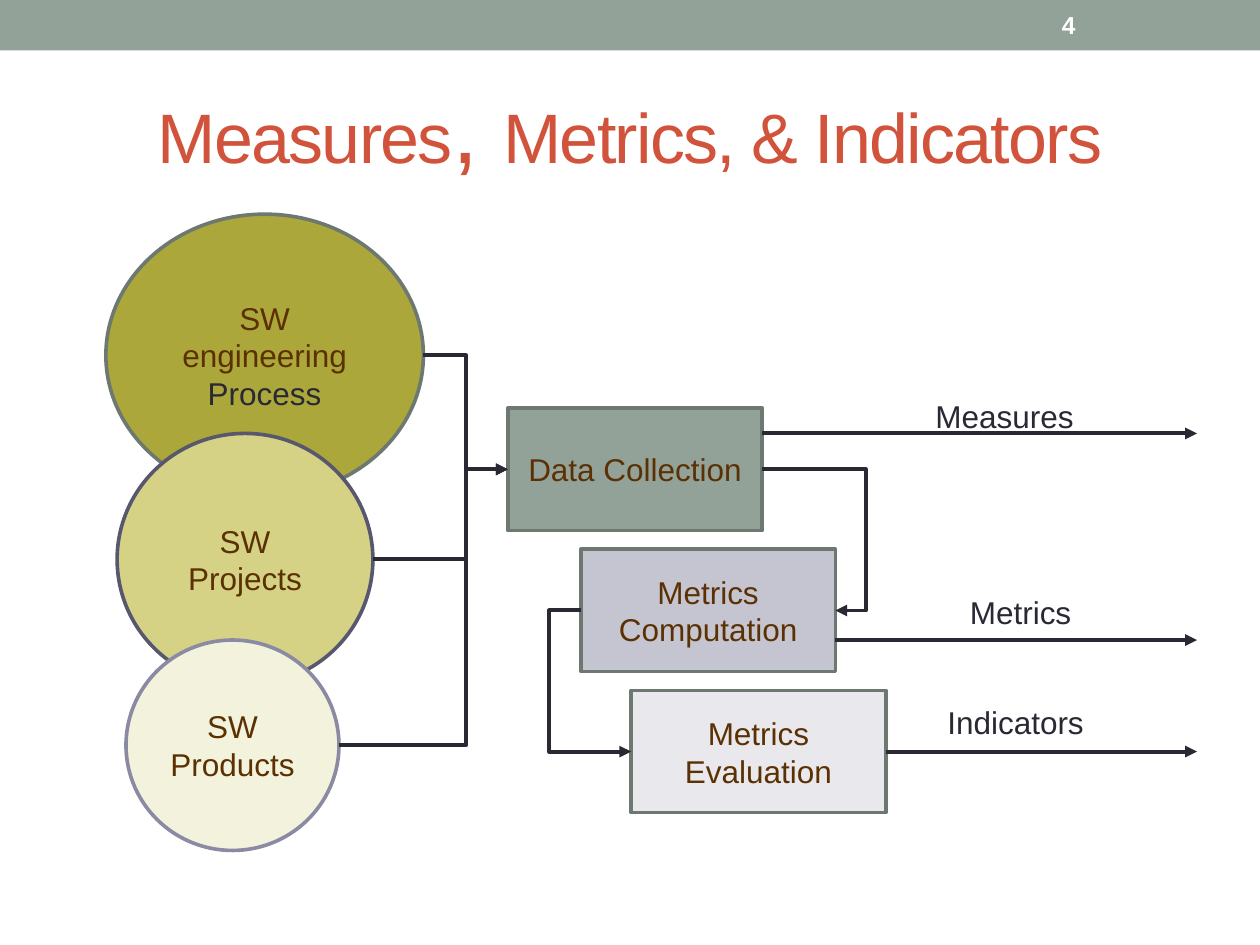
from pptx import Presentation
from pptx.dml.color import RGBColor
from pptx.enum.shapes import MSO_CONNECTOR, MSO_SHAPE
from pptx.enum.text import MSO_ANCHOR, PP_ALIGN
from pptx.oxml.ns import qn
from pptx.util import Inches, Pt
from lxml import etree

RECTANGLE, ELLIPSE = MSO_SHAPE.RECTANGLE, MSO_SHAPE.OVAL
STRAIGHT, ELBOW = MSO_CONNECTOR.STRAIGHT, MSO_CONNECTOR.ELBOW
LEFT, CENTER, RIGHT = PP_ALIGN.LEFT, PP_ALIGN.CENTER, PP_ALIGN.RIGHT
TOP, MIDDLE = MSO_ANCHOR.TOP, MSO_ANCHOR.MIDDLE

WIDTH, HEIGHT = Inches(10), Inches(7.5)
COLUMNS, ROWS = 100, 75

INK, BROWN, SAGE, SAGE_EDGE = "292934", "5B3103", "93A299", "6D7871"
RED, WHITE = "D2533C", "FFFFFF"

# Lengths below are (left, top, width, height) in grid columns and rows.
SOURCES = [
    ((8.4, 17, 25.2, 22.4), "ACA73B", SAGE_EDGE, [("SW engineering ", BROWN), ("Process", INK)]),
    ((9.3, 34.4, 20.3, 20), "D5D286", "57576E", [("SW Projects", BROWN)]),
    ((10, 50.8, 16.9, 16.7), "F3F2DC", "8A8AA3", [("SW Products", BROWN)]),
]
STEPS = [
    ("Data Collection", 40.3, SAGE),
    ("Metrics Computation", 46.1, "C5C5D1"),
    ("Metrics Evaluation", 50.1, "E8E8ED"),
]
STEP_TOP, STEP_PITCH, STEP_WIDTH, STEP_HEIGHT = 32.4, 11.2, 20.2, 9.7
OUTPUTS = [
    ("Measures", 69.4, 31, RIGHT, 34.4),
    ("Metrics", 72.6, 46.6, CENTER, 50.8),
    ("Indicators", 70.2, 55.3, RIGHT, 59.65),
]
OUTPUT_END = 95
SOURCE_BUS, RIGHT_BEND, LEFT_BEND = 37, 68.7, 43.6


def color(value):
    return RGBColor.from_string(value)


def x(column):
    return round(WIDTH * column / COLUMNS)


def y(row):
    return round(HEIGHT * row / ROWS)


def place(area):
    left, top, width, height = area
    return x(left), y(top), x(width), y(height)


def left_port(area):
    return area[0], area[1] + area[3] / 2


def right_port(area):
    return area[0] + area[2], area[1] + area[3] / 2


def write(shape, runs, align=CENTER, anchor=MIDDLE, spacing=0, **font):
    """Fill the shape with one paragraph of (text, colour, optional size) runs."""
    frame = shape.text_frame
    frame.word_wrap = True
    frame.vertical_anchor = anchor
    paragraph = frame.paragraphs[0]
    paragraph.alignment = align
    for text, ink, *size in runs:
        run = paragraph.add_run()
        run.text = text
        run.font.color.rgb = color(ink)
        values = {"name": "Arial", "size": Pt(size[0] if size else 18), **font}
        for name, value in values.items():
            setattr(run.font, name, value)
        if spacing:
            run._r.get_or_add_rPr().set("spc", str(spacing * 100))


def add_text(slide, area, runs, **options):
    write(slide.shapes.add_textbox(*place(area)), runs, **options)


def add_block(slide, kind, area, fill, edge=None, runs=()):
    shape = slide.shapes.add_shape(kind, *place(area))
    shape.shadow.inherit = False
    shape.fill.solid()
    shape.fill.fore_color.rgb = color(fill)
    if edge:
        shape.line.color.rgb = color(edge)
        shape.line.width = Pt(2.08)
    else:
        shape.line.fill.background()
    write(shape, runs)


def add_arrow(slide, start, end, bend=None):
    """Draw an arrow; bend is the column of an elbow's vertical part."""
    kind = STRAIGHT if bend is None else ELBOW
    arrow = slide.shapes.add_connector(kind, x(start[0]), y(start[1]), x(end[0]), y(end[1]))
    arrow.line.color.rgb = color(INK)
    arrow.line.width = Pt(2.25)
    properties = arrow._element.spPr
    etree.SubElement(properties.find(qn("a:ln")), qn("a:tailEnd"), type="triangle")
    etree.SubElement(properties, qn("a:effectLst"))
    if bend is not None:
        share = (bend - start[0]) / (end[0] - start[0])
        guides = properties.find(qn("a:prstGeom")).find(qn("a:avLst"))
        etree.SubElement(guides, qn("a:gd"), name="adj1", fmla=f"val {round(share * 100000)}")


def add_header(slide):
    add_block(slide, RECTANGLE, (0, 0, COLUMNS, 4), SAGE)
    add_text(slide, (83.3, 0.2, 11.7, 3.6), [("4", WHITE, 14)], align=LEFT, bold=True)
    title = [("Measures", RED, 40), (", ", RED, 54), ("Metrics, & Indicators", RED, 40)]
    add_text(slide, (5, 4.6, 90, 10.8), title, spacing=-1)


def add_flow(slide):
    steps = [(left, STEP_TOP + index * STEP_PITCH, STEP_WIDTH, STEP_HEIGHT)
             for index, (_, left, _) in enumerate(STEPS)]
    collection, computation, evaluation = steps

    for area, fill, edge, runs in SOURCES:
        add_block(slide, ELLIPSE, area, fill, edge, runs)
    for area, (text, _, fill) in zip(steps, STEPS):
        add_block(slide, RECTANGLE, area, fill, SAGE_EDGE, [(text, BROWN)])

    for area, *_ in SOURCES:
        add_arrow(slide, right_port(area), left_port(collection), SOURCE_BUS)
    add_arrow(slide, right_port(collection), right_port(computation), RIGHT_BEND)
    add_arrow(slide, left_port(computation), left_port(evaluation), LEFT_BEND)

    for area, (text, left, top, align, row) in zip(steps, OUTPUTS):
        add_arrow(slide, (right_port(area)[0], row), (OUTPUT_END, row))
        add_text(slide, (left, top, 16.8, 4), [(text, INK)], align=align, anchor=TOP)


def main():
    presentation = Presentation()
    presentation.slide_width, presentation.slide_height = WIDTH, HEIGHT
    slide = presentation.slides.add_slide(presentation.slide_layouts[6])
    add_header(slide)
    add_flow(slide)
    presentation.save("out.pptx")


if __name__ == "__main__":
    main()
